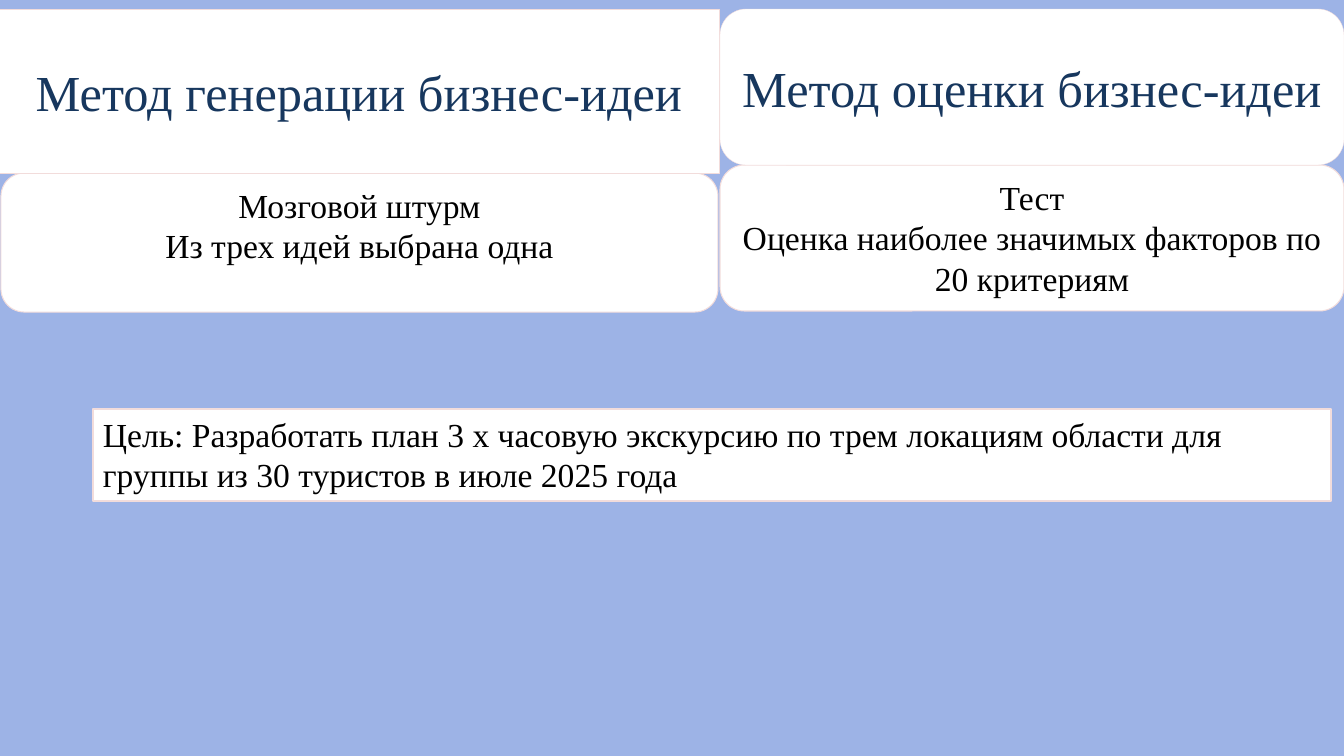
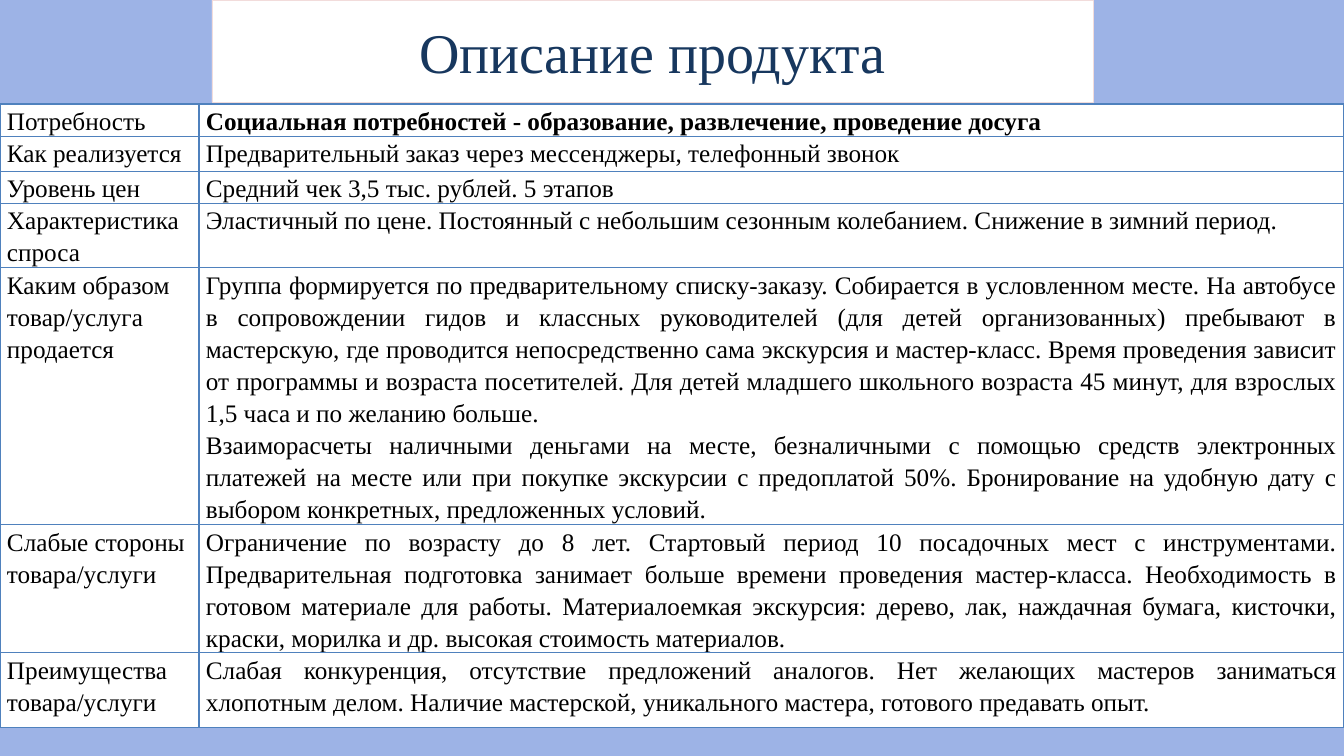
"""Build two slides: the idea methods with the goal, and the product description."""
from dataclasses import dataclass

from lxml.etree import SubElement
from pptx import Presentation
from pptx.dml.color import RGBColor
from pptx.enum.shapes import MSO_SHAPE as Shape
from pptx.enum.text import MSO_ANCHOR as Anchor, PP_ALIGN as Align
from pptx.oxml.ns import qn
from pptx.util import Pt

PX = 9072
SLIDE_SIZE = (1344, 756)


@dataclass(frozen=True)
class Theme:
    background: str = "9DB3E6"
    panel: str = "FFFFFF"
    outline: str = "F2DCDB"
    title: str = "17375E"
    text: str = "000000"
    grid: str = "4F81BD"
    font: str = "Times New Roman"
    product_size: int = 40
    method_size: int = 36
    body_size: int = 24
    table_size: int = 18
    table_spacing: float = 1.15


THEME = Theme()

STYLES = {
    "method": {"size": THEME.method_size, "color": THEME.title, "line": 0.25,
               "anchor": Anchor.MIDDLE, "align": Align.CENTER},
    "product": {"size": THEME.product_size, "color": THEME.title, "line": 0.25,
                "anchor": Anchor.MIDDLE, "align": Align.CENTER},
    "body": {"size": THEME.body_size, "color": THEME.text, "line": 0.75,
             "anchor": Anchor.TOP, "align": Align.CENTER},
    "goal": {"size": THEME.body_size, "color": THEME.text, "line": 2,
             "anchor": Anchor.TOP, "align": Align.LEFT},
}

METHOD_PANELS = [
    ("body", Shape.ROUNDED_RECTANGLE, (1, 173, 717, 139),
     ["Мозговой штурм", "Из трех идей выбрана одна"]),
    ("body", Shape.ROUNDED_RECTANGLE, (720, 165, 624, 146),
     ["Тест", "Оценка наиболее значимых факторов по 20 критериям"]),
    ("method", Shape.RECTANGLE, (-1, 9, 720, 164), ["Метод генерации бизнес-идеи"]),
    ("method", Shape.ROUNDED_RECTANGLE, (720, 9, 624, 156), ["Метод оценки бизнес-идеи"]),
    ("goal", Shape.RECTANGLE, (93, 409, 1238, 92),
     ["Цель: Разработать план 3 х часовую экскурсию по трем локациям области для "
      "группы из 30 туристов в июле 2025 года"]),
]

PRODUCT_PANELS = [
    ("product", Shape.RECTANGLE, (212, 0, 881, 102), ["Описание продукта"]),
]

TABLE_TOP = 104
COLUMN_WIDTHS = (199, 1145)
CELL_MARGINS = {"margin_left": 7 * PX, "margin_right": 7 * PX,
                "margin_top": 0, "margin_bottom": 0}
PRODUCT_ROWS = [
    (32, "Потребность",
     ["Социальная потребностей - образование, развлечение, проведение досуга"]),
    (35, "Как реализуется",
     ["Предварительный заказ через мессенджеры, телефонный звонок"]),
    (32, "Уровень цен", ["Средний чек 3,5 тыс. рублей. 5 этапов"]),
    (64, "Характеристика спроса",
     ["Эластичный по цене. Постоянный с небольшим сезонным колебанием. "
      "Снижение в зимний период."]),
    (257, "Каким образом товар/услуга продается",
     ["Группа формируется по предварительному списку-заказу. Собирается в условленном "
      "месте. На автобусе в сопровождении гидов и классных руководителей (для детей "
      "организованных) пребывают в мастерскую, где проводится непосредственно сама "
      "экскурсия и мастер-класс. Время проведения зависит от программы и возраста "
      "посетителей. Для детей младшего школьного возраста 45 минут, для взрослых "
      "1,5 часа и по желанию больше.",
      "Взаиморасчеты наличными деньгами на месте, безналичными с помощью средств "
      "электронных платежей на месте или при покупке экскурсии с предоплатой 50%. "
      "Бронирование на удобную дату с выбором конкретных, предложенных условий."]),
    (128, "Слабые стороны товара/услуги",
     ["Ограничение по возрасту до 8 лет. Стартовый период 10 посадочных мест с "
      "инструментами. Предварительная подготовка занимает больше времени проведения "
      "мастер-класса. Необходимость в готовом материале для работы. Материалоемкая "
      "экскурсия: дерево, лак, наждачная бумага, кисточки, краски, морилка и др. "
      "высокая стоимость материалов."]),
    (75, "Преимущества товара/услуги",
     ["Слабая конкуренция, отсутствие предложений аналогов. Нет желающих мастеров "
      "заниматься хлопотным делом. Наличие мастерской, уникального мастера, готового "
      "предавать опыт."]),
]


def set_attributes(target, values):
    for name, value in values.items():
        setattr(target, name, value)


def paint(fill, color):
    fill.solid()
    fill.fore_color.rgb = RGBColor.from_string(color)


def write(frame, lines, size, color, align, bold=False, spacing=None):
    frame.word_wrap = True
    for index, line in enumerate(lines):
        paragraph = frame.add_paragraph() if index else frame.paragraphs[0]
        set_attributes(paragraph, {"alignment": align, "line_spacing": spacing})
        run = paragraph.add_run()
        run.text = line
        set_attributes(run.font, {"name": THEME.font, "size": Pt(size), "bold": bold})
        run.font.color.rgb = RGBColor.from_string(color)


def add_slide(presentation, panels):
    slide = presentation.slides.add_slide(presentation.slide_layouts[6])
    paint(slide.background.fill, THEME.background)
    for style_name, outline, box, lines in panels:
        style = STYLES[style_name]
        shape = slide.shapes.add_shape(outline, *(value * PX for value in box))
        shape.shadow.inherit = False
        paint(shape.fill, THEME.panel)
        paint(shape.line.fill, THEME.outline)
        shape.line.width = Pt(style["line"])
        shape.text_frame.vertical_anchor = style["anchor"]
        write(shape.text_frame, lines, style["size"], style["color"], style["align"])
    return slide


def add_borders(cell):
    properties = cell._tc.get_or_add_tcPr()
    for side in ("lnL", "lnR", "lnT", "lnB"):
        border = SubElement(properties, qn(f"a:{side}"), w=str(Pt(1)))
        fill = SubElement(border, qn("a:solidFill"))
        SubElement(fill, qn("a:srgbClr"), val=THEME.grid)


def add_product_table(slide):
    height = sum(row[0] for row in PRODUCT_ROWS)
    table = slide.shapes.add_table(
        len(PRODUCT_ROWS), len(COLUMN_WIDTHS),
        0, TABLE_TOP * PX, sum(COLUMN_WIDTHS) * PX, height * PX).table
    set_attributes(table, {"first_row": False, "horz_banding": False})
    for column, width in zip(table.columns, COLUMN_WIDTHS):
        column.width = width * PX
    for index, (row_height, label, details) in enumerate(PRODUCT_ROWS):
        table.rows[index].height = row_height * PX
        entries = [([label], Align.LEFT, False), (details, Align.JUSTIFY, index == 0)]
        for cell, (lines, align, bold) in zip(table.rows[index].cells, entries):
            set_attributes(cell, CELL_MARGINS)
            add_borders(cell)
            paint(cell.fill, THEME.panel)
            write(cell.text_frame, lines, THEME.table_size, THEME.text, align,
                  bold, THEME.table_spacing)


def main():
    presentation = Presentation()
    presentation.slide_width, presentation.slide_height = (
        value * PX for value in SLIDE_SIZE)
    add_slide(presentation, METHOD_PANELS)
    add_product_table(add_slide(presentation, PRODUCT_PANELS))
    presentation.save("out.pptx")


if __name__ == "__main__":
    main()
